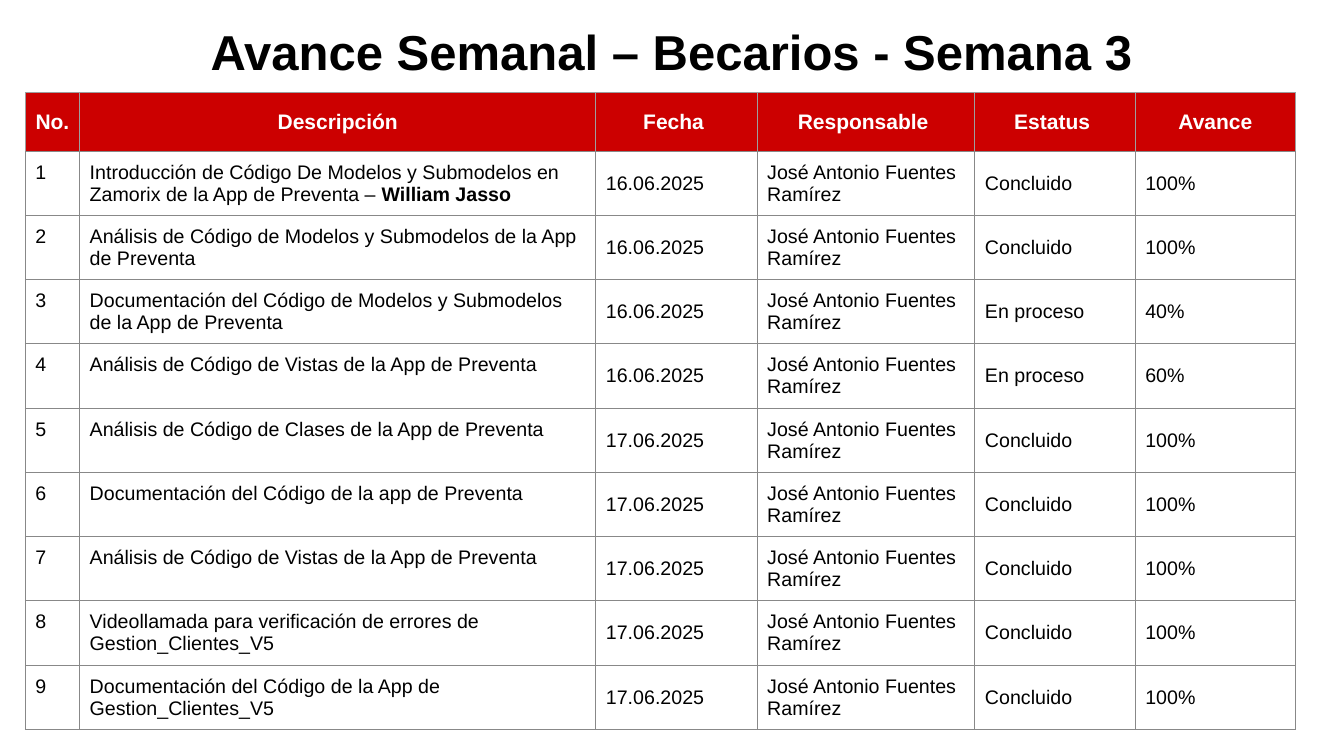
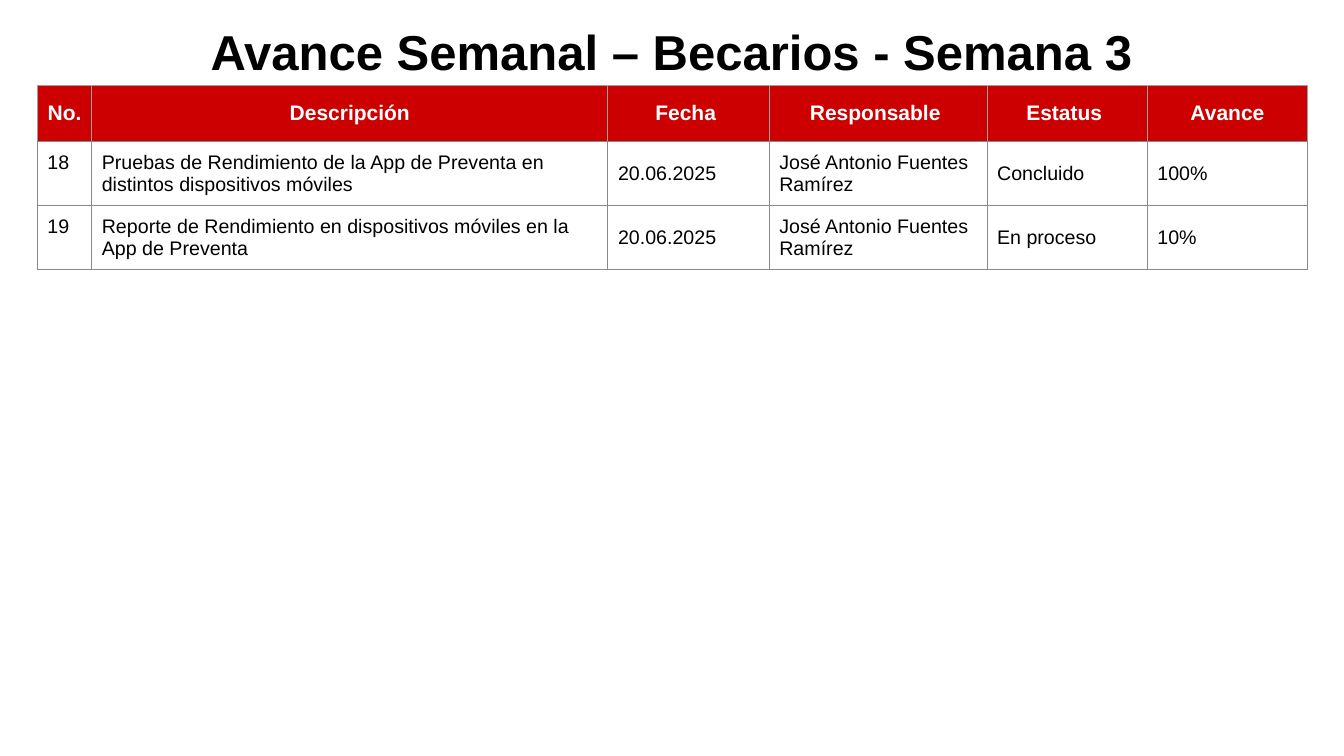
import pptx
import pptx.util
import pptx.dml.color
import pptx.enum.text
import pptx.oxml.ns
import lxml.etree

Inches = pptx.util.Inches
Pt = pptx.util.Pt
Align = pptx.enum.text.PP_ALIGN
Anchor = pptx.enum.text.MSO_ANCHOR

COLORS = {
    "red": "CC0000",
    "white": "FFFFFF",
    "black": "000000",
    "grid": "888888",
    "header_grid": "9E9E9E",
}
TITLE = "Avance Semanal – Becarios - Semana 3"
TITLE_FONT = {"name": "Arial", "size": Pt(35), "bold": True}
HEADER_FONT = {"name": "Arial", "size": Pt(15), "bold": True}
BODY_FONT = {"name": "Arial", "size": Pt(14), "bold": False}
HEADERS = ["No.", "Descripción", "Fecha ", "Responsable ", "Estatus ", "Avance"]
COLUMN_WIDTHS = [0.54, 5.12, 1.6, 2.16, 1.59, 1.59]
ROW_HEIGHT = 0.63
PERSON = "José Antonio Fuentes Ramírez"

# Each activity: number, description, date, status, progress
# A description given as a tuple ends with a bold part
WEEK_START = [
    ("1", ("Introducción de Código De Modelos y Submodelos en Zamorix de la App de Preventa – ",
           "William Jasso"), "16.06.2025", "Concluido", "100%"),
    ("2", "Análisis de Código de Modelos y Submodelos de la App de Preventa",
     "16.06.2025", "Concluido", "100%"),
    ("3", "Documentación del Código de Modelos y Submodelos de la App de Preventa",
     "16.06.2025", "En proceso", "40%"),
    ("4", "Análisis de Código de Vistas de la App de Preventa",
     "16.06.2025", "En proceso", "60%"),
    ("5", "Análisis de Código de Clases de la App de Preventa",
     "17.06.2025", "Concluido", "100%"),
    ("6", "Documentación del Código de la app de Preventa",
     "17.06.2025", "Concluido", "100%"),
    ("7", "Análisis de Código de Vistas de la App de Preventa",
     "17.06.2025", "Concluido", "100%"),
    ("8", "Videollamada para verificación de errores de Gestion_Clientes_V5",
     "17.06.2025", "Concluido", "100%"),
    ("9", "Documentación del Código de la App de Gestion_Clientes_V5",
     "17.06.2025", "Concluido", "100%"),
]
WEEK_END = [
    ("18", "Pruebas de Rendimiento de la App de Preventa en distintos dispositivos móviles",
     "20.06.2025", "Concluido", "100%"),
    ("19", "Reporte de Rendimiento en dispositivos móviles en la App de Preventa",
     "20.06.2025", "En proceso", "10%"),
]

# Table left, table top, header height, activities
PAGES = [
    (0.25, 0.92, 0.58, WEEK_START),
    (0.37, 0.85, 0.55, WEEK_END),
]


def write_text(para, parts, font_format, color):
    """Write the parts as runs; every part after the first is bold."""
    for index, part in enumerate(parts):
        span = para.add_run()
        span.text = part
        for name, value in font_format.items():
            setattr(span.font, name, value)
        if index:
            span.font.bold = True
        span.font.color.rgb = pptx.dml.color.RGBColor.from_string(COLORS[color])


def style_cell(cell, fill, side_color):
    """Give a cell its margins, borders and fill."""
    for side in ("left", "right", "top", "bottom"):
        setattr(cell, "margin_" + side, Inches(0.1))
    properties = cell._tc.get_or_add_tcPr()
    for side in ("L", "R", "T", "B"):
        line = lxml.etree.SubElement(
            properties, pptx.oxml.ns.qn("a:ln" + side), w=str(Pt(0.75)))
        solid = lxml.etree.SubElement(line, pptx.oxml.ns.qn("a:solidFill"))
        color = "grid" if side == "B" else side_color
        lxml.etree.SubElement(solid, pptx.oxml.ns.qn("a:srgbClr"), val=COLORS[color])
    cell.fill.solid()
    cell.fill.fore_color.rgb = pptx.dml.color.RGBColor.from_string(COLORS[fill])


deck = pptx.Presentation()
deck.slide_width = Inches(13.33)
deck.slide_height = Inches(7.5)

for left, top, header_height, activities in PAGES:
    page = deck.slides.add_slide(deck.slide_layouts.get_by_name("Title Only"))

    # Title
    title = page.shapes.title
    title_place = {"left": 0, "top": 0, "width": deck.slide_width, "height": Inches(1.08)}
    for name, value in title_place.items():
        setattr(title, name, value)
    title.text_frame.auto_size = pptx.enum.text.MSO_AUTO_SIZE.NONE
    title.text_frame.vertical_anchor = Anchor.MIDDLE
    para = title.text_frame.paragraphs[0]
    para.alignment = Align.CENTER
    para.line_spacing = 0.9
    write_text(para, [TITLE], TITLE_FONT, "black")

    # Table grid
    heights = [header_height] + [ROW_HEIGHT] * len(activities)
    table = page.shapes.add_table(
        len(heights), len(HEADERS), Inches(left), Inches(top),
        Inches(sum(COLUMN_WIDTHS)), Inches(sum(heights))).table
    table.horz_banding = False
    for column, width in zip(table.columns, COLUMN_WIDTHS):
        column.width = Inches(width)
    for row, height in zip(table.rows, heights):
        row.height = Inches(height)

    # Header row
    for cell, header in zip(table.rows[0].cells, HEADERS):
        style_cell(cell, "red", "header_grid")
        cell.vertical_anchor = Anchor.MIDDLE
        para = cell.text_frame.paragraphs[0]
        para.alignment = Align.CENTER
        write_text(para, [header], HEADER_FONT, "white")

    # Activity rows
    for row_index, (number, description, date, status, progress) in enumerate(activities, 1):
        values = [number, description, date, PERSON, status, progress]
        for column_index, value in enumerate(values):
            cell = table.cell(row_index, column_index)
            style_cell(cell, "white", "grid")
            cell.vertical_anchor = Anchor.TOP if column_index < 2 else Anchor.MIDDLE
            parts = value if isinstance(value, tuple) else [value]
            write_text(cell.text_frame.paragraphs[0], parts, BODY_FONT, "black")

deck.save("out.pptx")
